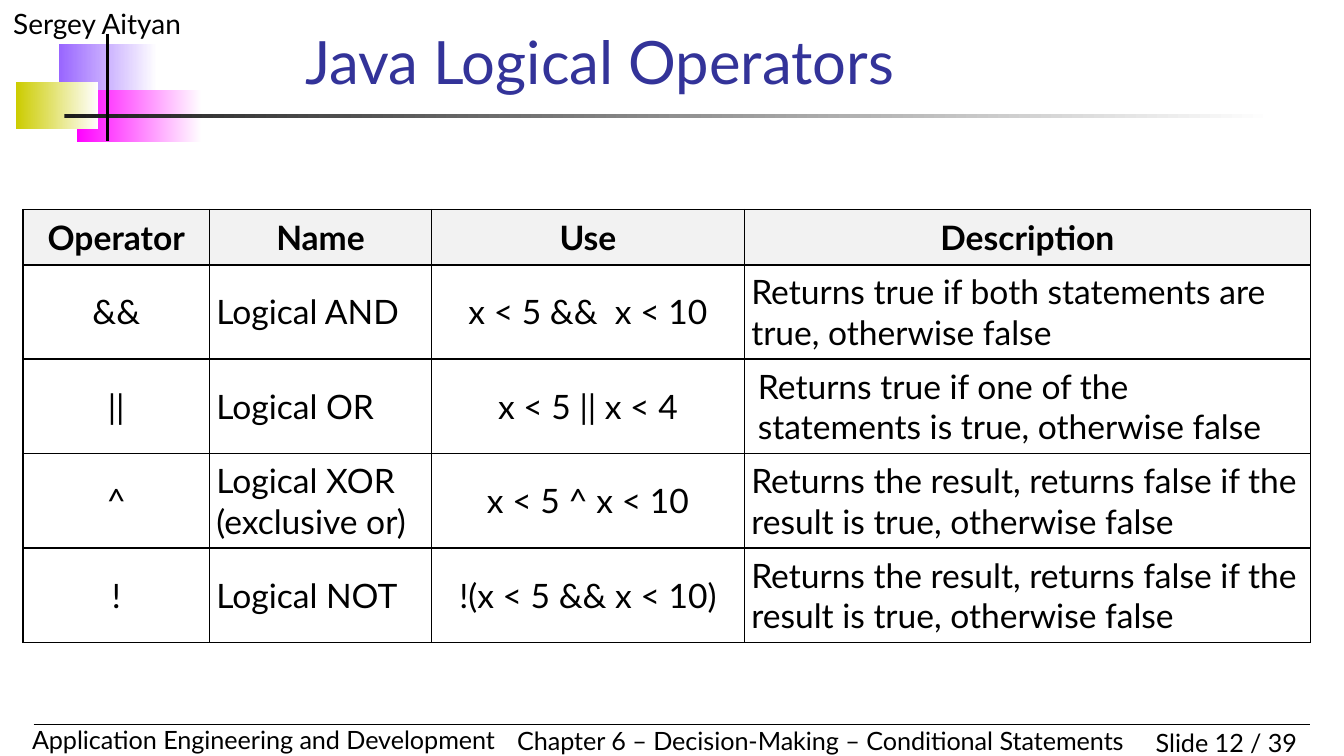
from lxml import etree
from pptx import Presentation
from pptx.dml.color import RGBColor
from pptx.enum.shapes import MSO_CONNECTOR, MSO_SHAPE
from pptx.enum.text import MSO_ANCHOR, MSO_AUTO_SIZE, PP_ALIGN
from pptx.oxml import parse_xml
from pptx.oxml.ns import nsdecls, qn
from pptx.util import Inches, Pt

LINE = MSO_CONNECTOR.STRAIGHT
RECT = MSO_SHAPE.RECTANGLE
LEFT, CENTER, RIGHT = PP_ALIGN.LEFT, PP_ALIGN.CENTER, PP_ALIGN.RIGHT
MIDDLE, BOTTOM = MSO_ANCHOR.MIDDLE, MSO_ANCHOR.BOTTOM
FIXED = MSO_AUTO_SIZE.NONE

BLACK = RGBColor(0x00, 0x00, 0x00)
WHITE = RGBColor(0xFF, 0xFF, 0xFF)
GRAY = RGBColor(0xF2, 0xF2, 0xF2)
CHAR = RGBColor(0x1C, 0x1C, 0x1C)
NAVY = RGBColor(0x33, 0x33, 0x99)
VIOLET = RGBColor(0x99, 0x66, 0xFF)
PINK = RGBColor(0xFF, 0x00, 0xFF)
OLIVE = RGBColor(0xCC, 0xCC, 0x00)

FONT = "Lato"
UNIT = Inches(0.1)  # one column or row of the slide grid
WIDE, HIGH = 100, 56.25

BARS = [
    (VIOLET, 4.4, 3.3, 7.3, 3.9),
    (PINK, 5.7, 6.7, 9.3, 3.9),
    (OLIVE, 1.2, 6.1, 6.1, 3.5),
    (CHAR, 4.8, 8.5, 90, 0.3),
]
LABELS = [
    ("Sergey Aityan", 15, LEFT, True, 0, 0, 25, 3.5),
    ("Slide 12 / 39", 13.5, RIGHT, True, 82.5, 53.6, 15, 3.3),
    ("Application Engineering and Development", 13.5, LEFT, True,
     1.4, 53.4, 37, 3.3),
    ("Chapter 6 – Decision-Making – Conditional Statements", 13.5, LEFT,
     False, 37.5, 53.5, 47.6, 3.3),
]
RULES = [(0.75, 2.5, 53.9, 97.5, 53.9), (2, 8, 2.5, 8, 10.5)]

COLS = [13.9, 16.5, 23.3, 42.1]
HEAD_ROW, BODY_ROW = 4.1, 7.03
ALIGNS = [CENTER, LEFT, CENTER, LEFT]
NEGATED = ("Returns the result, returns false if the result is true, "
           "otherwise false")
ROWS = [
    ("Operator", "Name", "Use", "Description"),
    ("&&", "Logical AND", "x < 5 &&  x < 10",
     "Returns true if both statements are true, otherwise false"),
    ("||", "Logical OR", "x < 5 || x < 4",
     "Returns true if one of the statements is true, otherwise false"),
    ("^", "Logical XOR (exclusive or)", "x < 5 ^ x < 10", NEGATED),
    ("!", "Logical NOT", "!(x < 5 && x < 10)", NEGATED),
]
WIDE_PAD = [(2, 2), (2, 3)]  # cells with the larger side margins


def grid(*units):
    return [round(n * UNIT) for n in units]


def style(frame, size, color=BLACK, align=LEFT, bold=False):
    for para in frame.paragraphs:
        para.alignment = align
        for run in para.runs:
            font = run.font
            font.name, font.size, font.bold = FONT, Pt(size), bold
            font.color.rgb = color


def add_bar(slide, color, *box):
    """Add a rectangle that fades to white from left to right."""
    bar = slide.shapes.add_shape(RECT, *grid(*box))
    bar.shadow.inherit = False
    bar.line.fill.background()
    bar.fill.gradient()
    bar.fill.gradient_angle = 0
    for stop, tone, place in zip(bar.fill.gradient_stops,
                                 (color, WHITE), (0, 1)):
        stop.color.rgb = tone
        stop.position = place


def add_label(slide, text, size, align, wrap, *box):
    frame = slide.shapes.add_textbox(*grid(*box)).text_frame
    frame.word_wrap = wrap
    frame.text = text
    style(frame, size, align=align)


def add_rule(slide, width, *ends):
    rule = slide.shapes.add_connector(LINE, *grid(*ends))
    rule.line.color.rgb = BLACK
    rule.line.width = Pt(width)
    etree.SubElement(rule.element.spPr, qn("a:effectLst"))


def set_title(slide, text, *box):
    title = slide.shapes.title
    title.left, title.top, title.width, title.height = grid(*box)
    frame = title.text_frame
    frame.text = text
    frame.auto_size = FIXED
    frame.vertical_anchor = BOTTOM
    style(frame, 32, NAVY)


def add_border(cell):
    props = cell._tc.get_or_add_tcPr()
    for side in "LRTB":
        props.append(parse_xml(
            f'<a:ln{side} {nsdecls("a")} w="{Pt(1)}"><a:solidFill>'
            f'<a:srgbClr val="{BLACK}"/></a:solidFill></a:ln{side}>'))


def set_cell(cell, text, align, head, pad):
    cell.text = text
    cell.vertical_anchor = MIDDLE
    cell.margin_left = cell.margin_right = pad
    cell.margin_top = cell.margin_bottom = Inches(0.05)
    add_border(cell)
    if head:
        cell.fill.solid()
        cell.fill.fore_color.rgb = GRAY
    else:
        cell.fill.background()
    style(cell.text_frame, 18, align=align, bold=head)


def add_grid(slide, left, top):
    """Add the table of operators."""
    highs = [HEAD_ROW] + [BODY_ROW] * (len(ROWS) - 1)
    table = slide.shapes.add_table(
        len(ROWS), len(COLS), *grid(left, top, sum(COLS), sum(highs))).table
    table.first_row = table.horz_banding = False
    for col, width in zip(table.columns, grid(*COLS)):
        col.width = width
    for row, high in zip(table.rows, grid(*highs)):
        row.height = high
    for r, texts in enumerate(ROWS):
        for c, text in enumerate(texts):
            head = r == 0
            pad = Inches(0.1 if (r, c) in WIDE_PAD else 0.05)
            set_cell(table.cell(r, c), text,
                     CENTER if head else ALIGNS[c], head, pad)


def main():
    deck = Presentation()
    deck.slide_width, deck.slide_height = grid(WIDE, HIGH)
    slide = deck.slides.add_slide(deck.slide_layouts[5])
    for bar in BARS:
        add_bar(slide, *bar)
    for label in LABELS:
        add_label(slide, *label)
    for rule in RULES:
        add_rule(slide, *rule)
    set_title(slide, "Java Logical Operators", 21.7, 2.3, 75.8, 5.4)
    add_grid(slide, 1.7, 15.6)
    deck.save("out.pptx")


if __name__ == "__main__":
    main()
